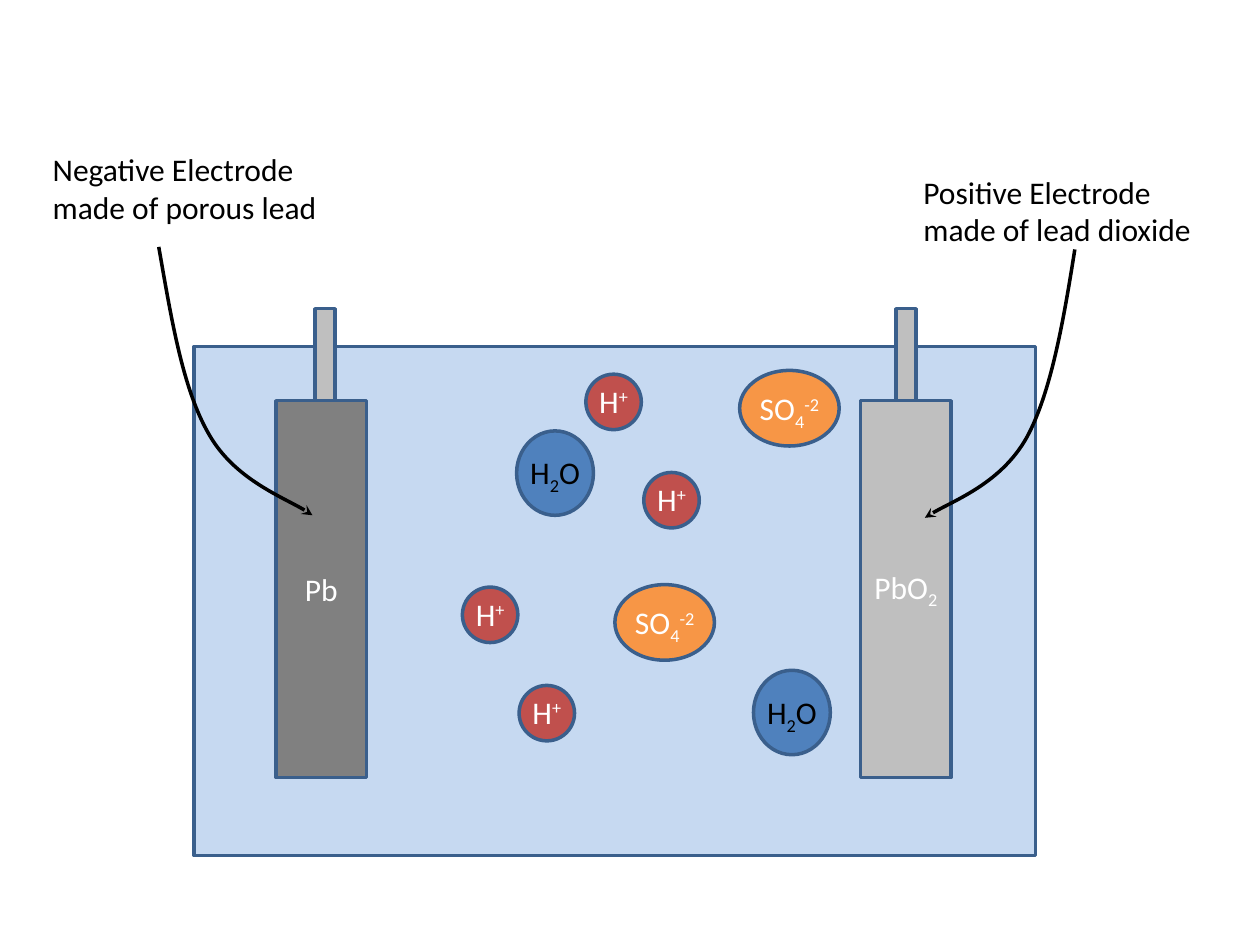
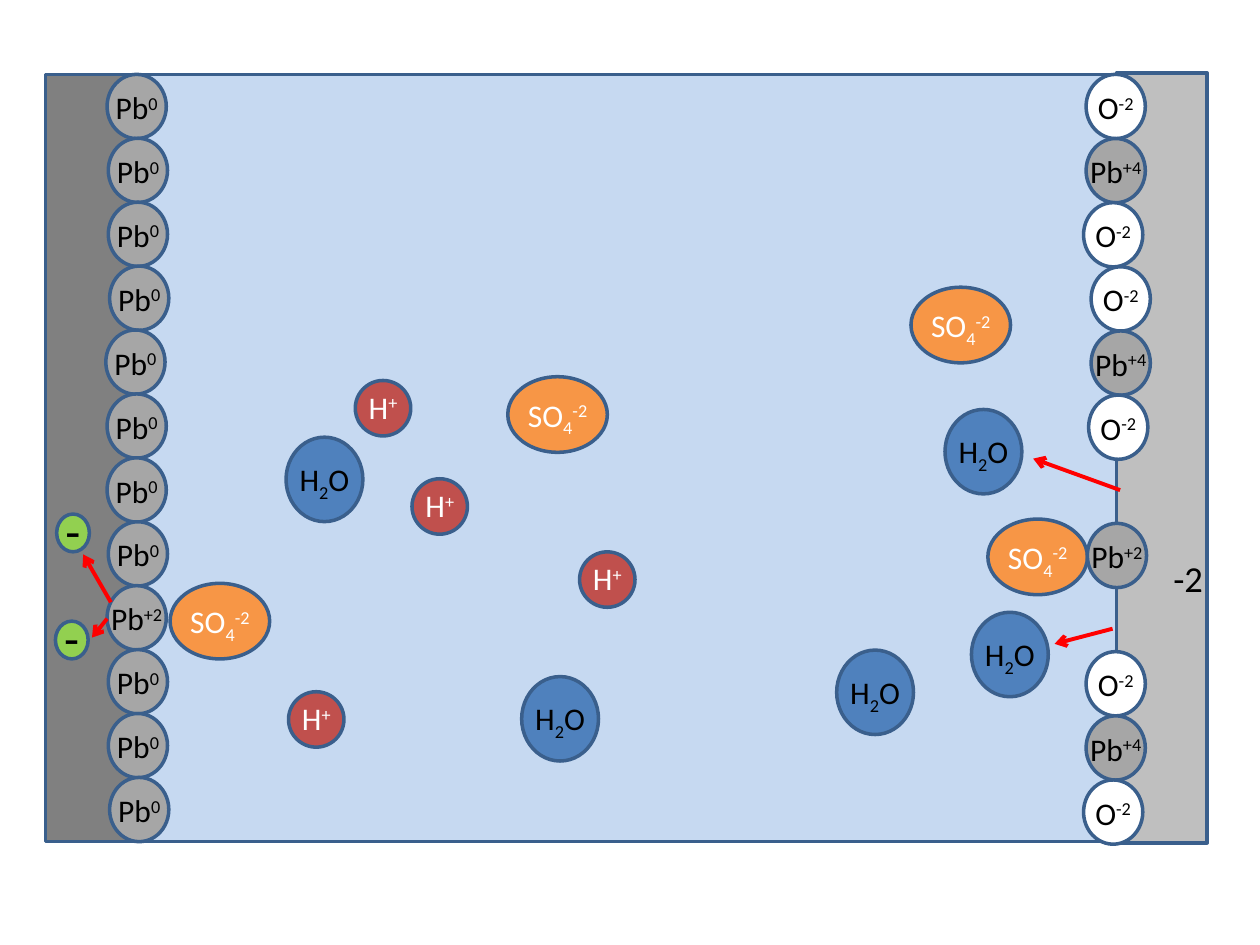
from dataclasses import dataclass

from lxml.etree import SubElement
from pptx import Presentation
from pptx.dml.color import RGBColor
from pptx.enum.shapes import MSO_CONNECTOR, MSO_SHAPE
from pptx.enum.text import MSO_ANCHOR, MSO_AUTO_SIZE, PP_ALIGN
from pptx.oxml.ns import qn
from pptx.util import Inches, Pt

# Shared style
FONT = "Calibri"
BLACK, WHITE, RED = "000000", "FFFFFF", "FF0000"
OUTLINE = "3A5F8C"
ELECTROLYTE = "C6D9F1"
LEAD, DIOXIDE, ATOM = "808080", "BFBFBF", "A6A6A6"
SUB, SUPER = -25, 30


@dataclass
class Particle:
    """A round particle; label is a list of (text, baseline percent)."""
    width: float
    height: float
    fill: str
    label: list
    color: str
    label_width: float
    label_drop: float
    label_height: float = 0.4
    size: int = 18
    align: PP_ALIGN = PP_ALIGN.CENTER


def atom(symbol, charge, fill, label_width):
    return Particle(0.47, 0.51, fill, [(symbol, 0), (charge, SUPER)],
                    BLACK, label_width, 0.06)


WATER = Particle(0.61, 0.67, "4F81BD", [("H", 0), ("2", SUB), ("O", 0)], BLACK, 0.61, 0.13)
SULFATE = Particle(0.79, 0.6, "F79646", [("SO", 0), ("4", SUB), ("-2", SUPER)], WHITE, 1.02, 0.1)
PROTON = Particle(0.44, 0.44, "C0504D", [("H", 0), ("+", SUPER)], WHITE, 1.02, 0.01)
ELECTRON = Particle(0.26, 0.3, "92D050", [("-", 0)], BLACK, 0.32, -0.16, 0.57, 28, PP_ALIGN.LEFT)
LEAD_0 = atom("Pb", "0", ATOM, 0.55)
LEAD_2 = atom("Pb", "+2", ATOM, 0.63)
LEAD_4 = atom("Pb", "+4", ATOM, 0.63)
OXIDE = atom("O", "-2", WHITE, 0.51)


# Basic parts
def rgb(color):
    return RGBColor.from_string(color)


def write(text_frame, label, color=BLACK, size=18, align=PP_ALIGN.CENTER, wrap=False):
    text_frame.word_wrap = wrap
    paragraph = text_frame.paragraphs[0]
    paragraph.alignment = align
    for text, baseline in label:
        run = paragraph.add_run()
        run.text = text
        run.font.name = FONT
        run.font.size = Pt(size)
        run.font.color.rgb = rgb(color)
        if baseline:
            run.font._element.set("baseline", str(baseline * 1000))


def add_text(slide, left, top, width, height, label, **style):
    box = slide.shapes.add_textbox(*map(Inches, (left, top, width, height)))
    write(box.text_frame, label, **style)
    box.text_frame.auto_size = MSO_AUTO_SIZE.SHAPE_TO_FIT_TEXT


def add_outlined(slide, kind, left, top, width, height, fill):
    shape = slide.shapes.add_shape(kind, *map(Inches, (left, top, width, height)))
    shape.shadow.inherit = False
    shape.fill.solid()
    shape.fill.fore_color.rgb = rgb(fill)
    shape.line.color.rgb = rgb(OUTLINE)
    shape.line.width = Pt(2)
    return shape


def add_block(slide, left, top, width, height, fill):
    return add_outlined(slide, MSO_SHAPE.RECTANGLE, left, top, width, height, fill)


def add_particle(slide, particle, left, top):
    add_outlined(slide, MSO_SHAPE.OVAL, left, top, particle.width, particle.height, particle.fill)
    label_left = left + (particle.width - particle.label_width) / 2
    add_text(slide, label_left, top + particle.label_drop,
             particle.label_width, particle.label_height, particle.label,
             color=particle.color, size=particle.size, align=particle.align)


def add_particles(slide, left, top, places):
    for particle, offsets in places:
        for x, y in offsets:
            add_particle(slide, particle, left + x, top + y)


def style_arrow(shape, color, width, head):
    shape.line.color.rgb = rgb(color)
    shape.line.width = Pt(width)
    SubElement(shape.line._get_or_add_ln(), qn("a:tailEnd"), type=head)


def add_red_arrow(slide, start, end):
    arrow = slide.shapes.add_connector(MSO_CONNECTOR.STRAIGHT, *map(Inches, (*start, *end)))
    style_arrow(arrow, RED, 2.25, "arrow")
    SubElement(arrow._element.spPr, qn("a:effectLst"))


def add_curved_arrow(slide, left, top, points):
    """Draw cubic curves: a start point, then three points per curve."""
    start, *rest = [(Inches(left + x), Inches(top + y)) for x, y in points]
    builder = slide.shapes.build_freeform(*start)
    builder.add_line_segments(rest, close=False)
    curve = builder.convert_to_shape()
    curve.fill.background()
    style_arrow(curve, BLACK, 2, "stealth")
    curve.shadow.inherit = False
    # Turn each three line segments into one cubic curve
    segments = curve._element.xpath(".//a:lnTo")
    outline = segments[0].getparent()
    for first in range(0, len(segments), 3):
        cubic = SubElement(outline, qn("a:cubicBezTo"))
        for segment in segments[first:first + 3]:
            cubic.append(segment[0])
            outline.remove(segment)


# Slide 1: the whole cell
def add_electrode(slide, left, top, fill, label, rod_offset):
    width, height, rod_width, rod_height = 0.72, 2.99, 0.16, 0.73
    plate = add_block(slide, left, top, width, height, fill)
    plate.text_frame.vertical_anchor = MSO_ANCHOR.MIDDLE
    write(plate.text_frame, label, WHITE)
    add_block(slide, left + rod_offset, top - rod_height, rod_width, rod_height, DIOXIDE)


def add_caption(slide, left, top, text):
    add_text(slide, left, top, 2.45, 0.71, [(text, 0)], align=PP_ALIGN.LEFT, wrap=True)


def build_cell(slide, left, top, width, height):
    add_block(slide, left, top, width, height, ELECTROLYTE)
    add_electrode(slide, left + 0.65, top + 0.43, LEAD, [("Pb", 0)], 0.31)
    add_electrode(slide, left + 5.29, top + 0.43, DIOXIDE, [("PbO", 0), ("2", SUB)], 0.28)
    add_caption(slide, left - 1.22, top - 1.61, "Negative Electrode made of porous lead")
    add_caption(slide, left + 5.69, top - 1.43, "Positive Electrode made of lead dioxide")
    add_curved_arrow(slide, left, top, [
        (-0.28, -0.79), (-0.18, -0.22), (-0.09, 0.34), (0.12, 0.7),
        (0.32, 1.05), (0.81, 1.24), (0.94, 1.34)])
    add_curved_arrow(slide, left, top, [
        (6.99, -0.77), (6.9, -0.2), (6.8, 0.37), (6.61, 0.72),
        (6.41, 1.08), (5.94, 1.26), (5.8, 1.36)])
    add_particles(slide, left, top, [
        (WATER, [(2.56, 0.67), (4.44, 2.57)]),
        (SULFATE, [(3.34, 1.89), (4.33, 0.19)]),
        (PROTON, [(2.13, 1.91), (2.58, 2.69), (3.11, 0.22), (3.57, 1)]),
    ])


# Slide 2: close view of the electrode surfaces
def add_atom_column(slide, left, top, height, atoms):
    """Stack atoms evenly from top to bottom; None leaves a gap."""
    pitch = (height - LEAD_0.height) / (len(atoms) - 1)
    for row, entry in enumerate(atoms):
        if entry:
            particle, shift = entry
            add_particle(slide, particle, left + shift, top + row * pitch)


def build_surfaces(slide, left, top, width, height):
    plate_width = 0.72
    plate_left = left + width - plate_width
    add_block(slide, left + 0.3, top, width - 0.3, height, ELECTROLYTE)
    add_block(slide, left, top, plate_width, height, LEAD)
    add_block(slide, plate_left, top - 0.01, plate_width, height + 0.02, DIOXIDE)

    # Ions and water
    add_particles(slide, left, top, [
        (WATER, [(1.91, 2.88), (3.78, 4.78), (7.14, 2.66), (6.28, 4.57), (7.35, 4.27)]),
        (SULFATE, [(0.99, 4.04), (3.67, 2.4), (7.48, 3.53), (6.87, 1.69)]),
        (PROTON, [(4.24, 3.79), (1.93, 4.9), (2.46, 2.43), (2.91, 3.21)]),
    ])

    # Surface atoms, each slightly shifted sideways
    shifts = [0.01, 0.02, 0.02, 0.03, 0, 0.01, 0.01, 0.02, 0.01, 0.02, 0.02, 0.03]
    lead_atoms = [(LEAD_2 if row == 8 else LEAD_0, shift) for row, shift in enumerate(shifts)]
    add_atom_column(slide, left + 0.48, top, height, lead_atoms)
    add_atom_column(slide, plate_left - 0.26, top, height + 0.02, [
        (OXIDE, 0.02), (LEAD_4, 0.02), (OXIDE, 0), (OXIDE, 0.06), (LEAD_4, 0.06), (OXIDE, 0.04),
        None, (LEAD_2, 0.03), None, (OXIDE, 0.02), (LEAD_4, 0.02), (OXIDE, 0)])

    # Released electrons and reaction arrows
    add_particles(slide, left, top, [(ELECTRON, [(0.09, 3.49), (0.08, 4.34)])])
    for x1, y1, x2, y2 in [(0.52, 4.19, 0.3, 3.81), (0.49, 4.32, 0.37, 4.47),
                           (8.53, 3.3, 7.84, 3.05), (8.47, 4.4, 8.01, 4.52)]:
        add_red_arrow(slide, (left + x1, top + y1), (left + x2, top + y2))
    add_text(slide, left + 8.83, top + 3.44, 0.48, 0.5, [("-2", SUB)], size=36)


def main():
    presentation = Presentation()
    presentation.slide_width, presentation.slide_height = Inches(10), Inches(7.5)
    blank = presentation.slide_layouts[6]
    build_cell(presentation.slides.add_slide(blank), 1.54, 2.75, 6.68, 4.04)
    build_surfaces(presentation.slides.add_slide(blank), 0.36, 0.59, 9.22, 6.09)
    presentation.save("out.pptx")


if __name__ == "__main__":
    main()
